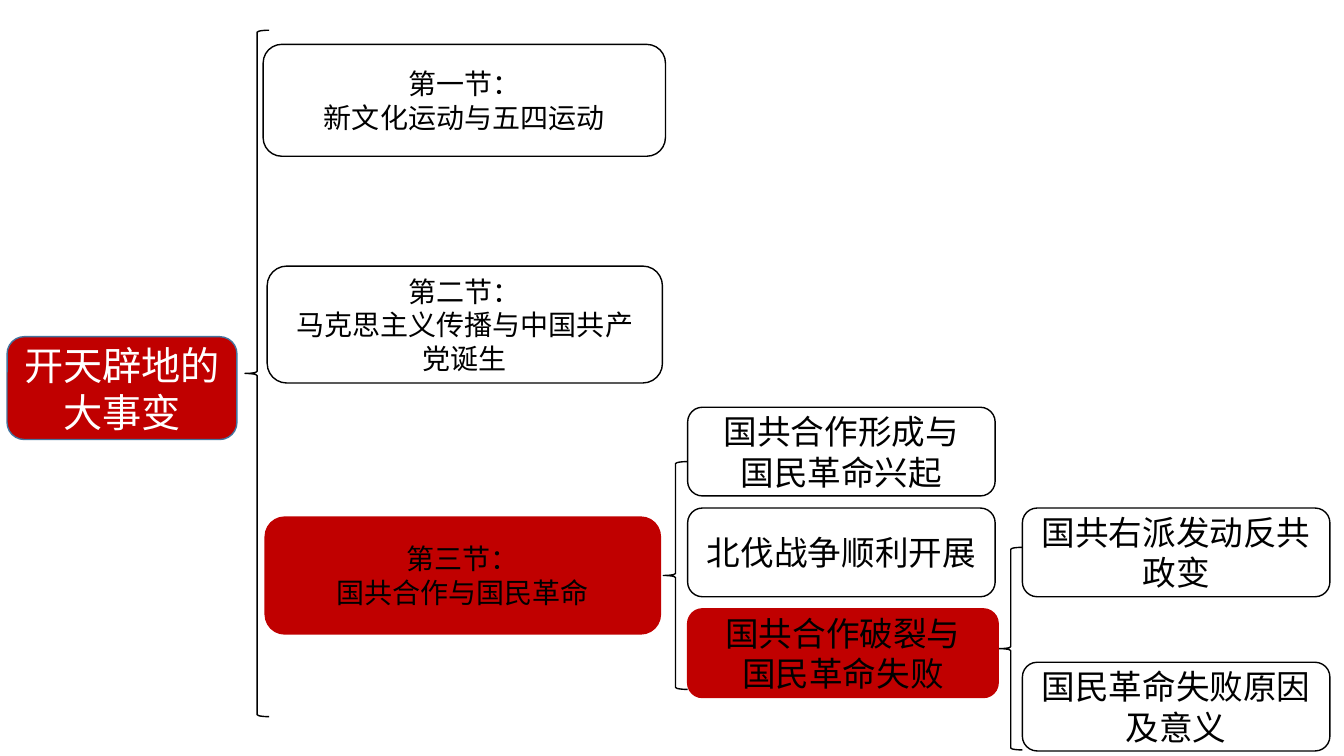
from lxml import etree
from pptx import Presentation
from pptx.dml.color import RGBColor
from pptx.enum.shapes import MSO_SHAPE as Shape
from pptx.enum.text import MSO_ANCHOR as Anchor, PP_ALIGN as Align
from pptx.oxml.ns import qn
from pptx.util import Inches, Pt

FONT = "Noto Sans CJK SC"
RED, BLACK, WHITE, BLUE = "C00000", "000000", "FFFFFF", "43739E"

presentation = Presentation()
presentation.slide_width = Inches(13.33)
presentation.slide_height = Inches(7.5)
slide = presentation.slides.add_slide(presentation.slide_layouts[6])


def color(hex_value):
    return RGBColor.from_string(hex_value)


def add_outline(kind, left, top, width, height, line=BLACK, fill=None):
    shape = slide.shapes.add_shape(
        kind, Inches(left), Inches(top), Inches(width), Inches(height))
    shape.shadow.inherit = False
    if fill:
        shape.fill.solid()
        shape.fill.fore_color.rgb = color(fill)
    else:
        shape.fill.background()
    shape.line.color.rgb = color(line)
    shape.line.width = Pt(1)
    return shape


# Grid of the tree: topics and outcomes share one height and row step
TOPIC_LEFT, OUTCOME_LEFT = 6.82, 10.14
BOX_WIDTH, BOX_HEIGHT = 3.05, 0.88
topic_tops = [4.04 + row for row in range(3)]

# Braces that open each level: left, top, width, height
braces = [
    (2.43, 0.3, 0.24, 6.81),
    (6.58, 4.58, 0.24, 2.26),
    (9.91, 5.43, 0.23, 2.01),
]
for brace in braces:
    add_outline(Shape.LEFT_BRACE, *brace)

# Boxes: text, place, font size, text colour, line, fill
boxes = [
    # Chapter
    ("开天辟地的大事变", (0.07, 3.34, 2.28, 1.02), 28, WHITE, BLUE, RED),
    # Sections
    ("第一节：\n新文化运动与五四运动", (2.61, 0.44, 3.99, 1.11), 20, BLACK, BLACK, None),
    ("第二节：\n马克思主义传播与中国共产党诞生", (2.65, 2.64, 3.92, 1.16), 20, BLACK, BLACK, WHITE),
    ("第三节：\n国共合作与国民革命", (2.63, 5.13, 3.92, 1.16), 20, BLACK, RED, RED),
    # Topics of the third section
    ("国共合作形成与\n国民革命兴起", (TOPIC_LEFT, topic_tops[0], BOX_WIDTH, BOX_HEIGHT), 24, BLACK, BLACK, None),
    ("北伐战争顺利开展", (TOPIC_LEFT, topic_tops[1], BOX_WIDTH, BOX_HEIGHT), 24, BLACK, BLACK, None),
    ("国共合作破裂与\n国民革命失败", (TOPIC_LEFT, topic_tops[2], 3.08, BOX_HEIGHT), 24, BLACK, RED, RED),
    # Outcomes of the last topic
    ("国共右派发动反共政变", (OUTCOME_LEFT, topic_tops[1], BOX_WIDTH, BOX_HEIGHT), 24, BLACK, BLACK, None),
    ("国民革命失败原因及意义", (OUTCOME_LEFT, 6.57, BOX_WIDTH, BOX_HEIGHT), 24, BLACK, BLACK, None),
]
for text, place, size, text_color, line, fill in boxes:
    box = add_outline(Shape.ROUNDED_RECTANGLE, *place, line, fill)
    text_frame = box.text_frame
    text_frame.word_wrap = True
    text_frame.vertical_anchor = Anchor.MIDDLE
    text_frame.text = text
    for paragraph in text_frame.paragraphs:
        paragraph.alignment = Align.CENTER
        for run in paragraph.runs:
            run.font.name = FONT
            run.font.size = Pt(size)
            run.font.color.rgb = color(text_color)
            # Chinese characters take the East Asian typeface
            east_asian = etree.SubElement(run.font._element, qn("a:ea"))
            east_asian.set("typeface", FONT)

presentation.save("out.pptx")
